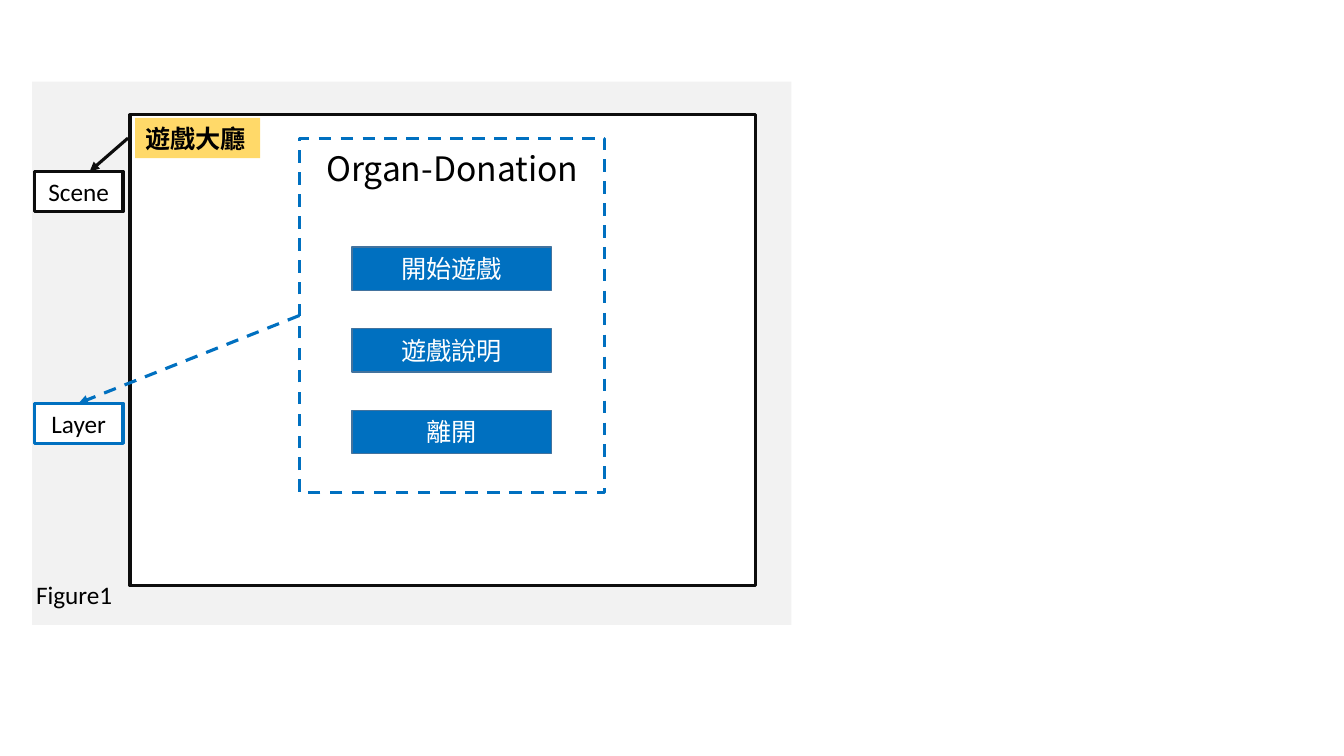
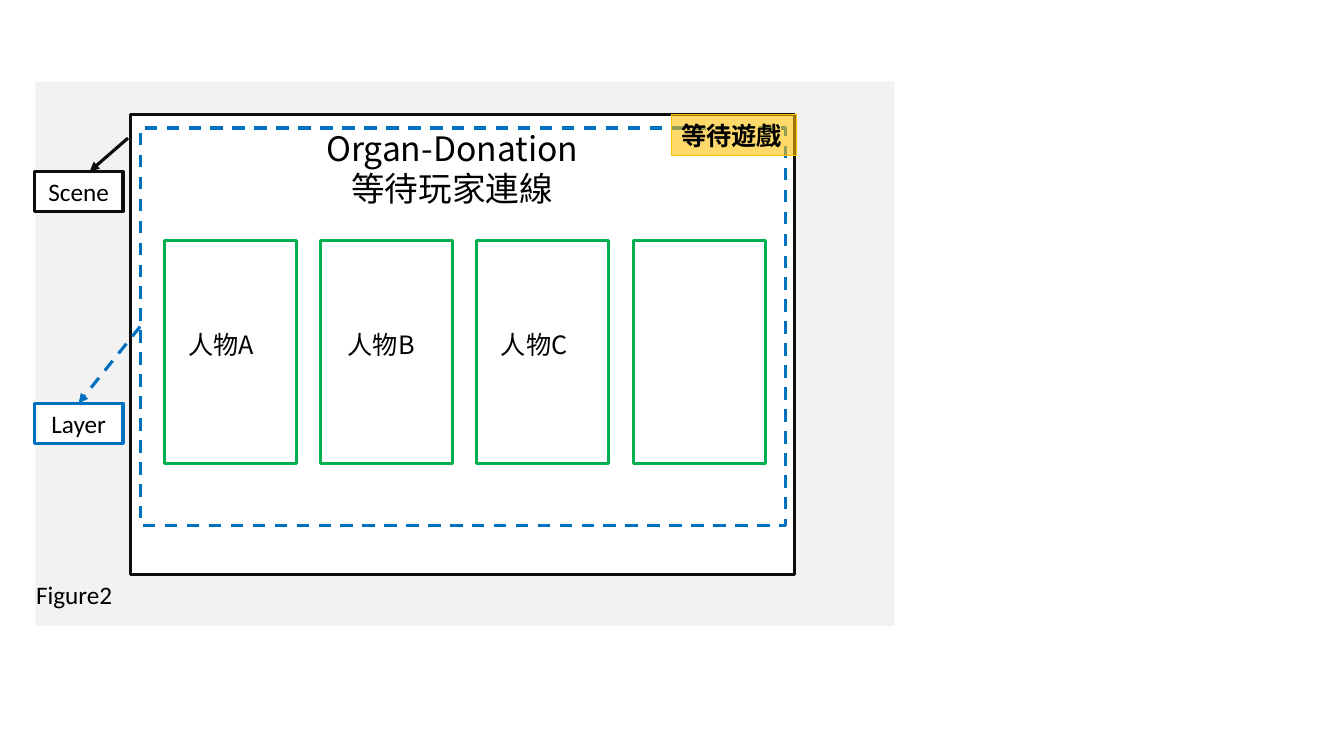
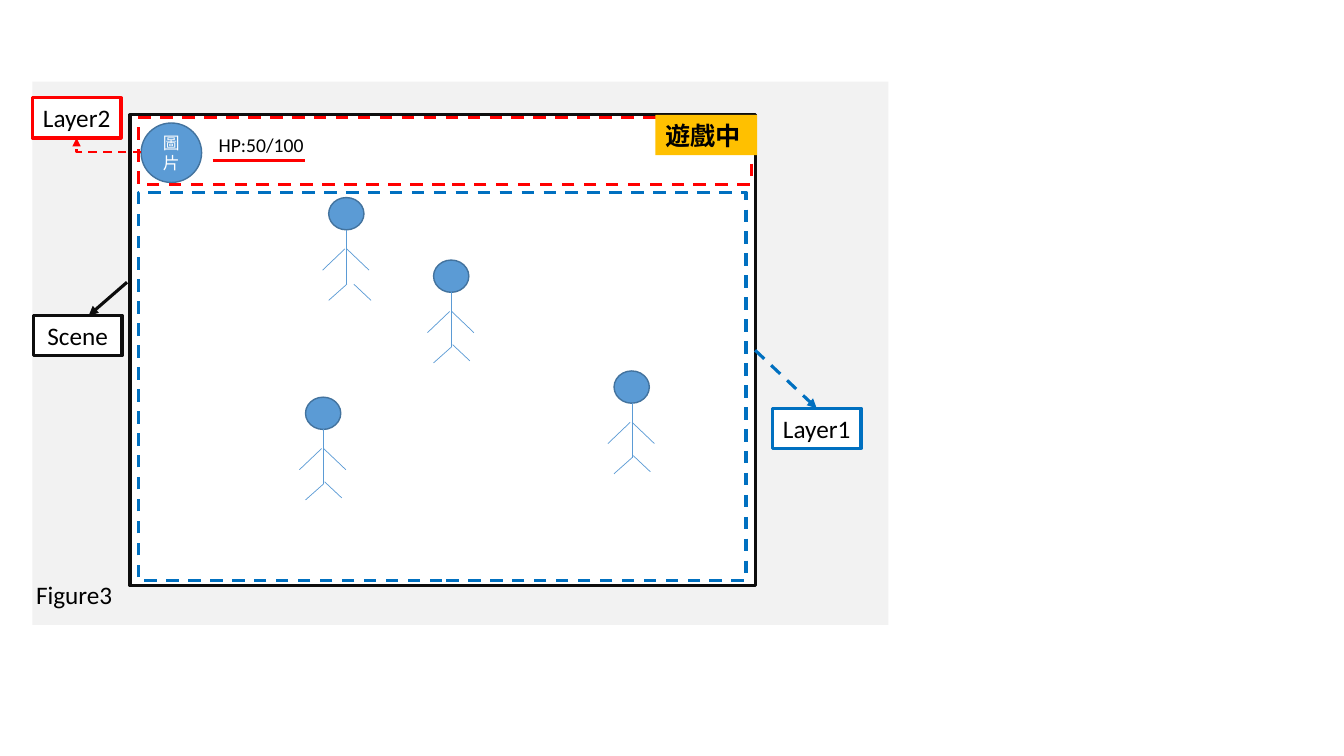
from lxml import etree
from pptx import Presentation
from pptx.dml.color import RGBColor
from pptx.enum import dml, shapes, text
from pptx.oxml.ns import qn
from pptx.util import Inches, Pt

WHITE = RGBColor(0xFF, 0xFF, 0xFF)
BLACK = RGBColor(0x00, 0x00, 0x00)
INK = RGBColor(0x0D, 0x0D, 0x0D)
PANEL_GREY = RGBColor(0xF2, 0xF2, 0xF2)
BLUE = RGBColor(0x00, 0x70, 0xC0)
SKY = RGBColor(0x5B, 0x9B, 0xD5)
EDGE_BLUE = RGBColor(0x43, 0x73, 0x9E)
GREEN = RGBColor(0x00, 0xB0, 0x50)
RED = RGBColor(0xFF, 0x00, 0x00)
AMBER = RGBColor(0xFF, 0xC0, 0x00)

LATIN_FONT = "Calibri"
CJK_FONT = "Noto Sans CJK SC"
TOP, LEFT, BOTTOM, RIGHT = range(4)
LEFT_ALIGN, CENTER = text.PP_ALIGN.LEFT, text.PP_ALIGN.CENTER
UPPER, MIDDLE = text.MSO_ANCHOR.TOP, text.MSO_ANCHOR.MIDDLE
RECTANGLE, OVAL = shapes.MSO_SHAPE.RECTANGLE, shapes.MSO_SHAPE.OVAL


def write(shape, content, size=18, font=CJK_FONT, color=BLACK, bold=False,
          align=CENTER, anchor=MIDDLE, wrap=True):
    """Fill a shape with text, one paragraph per line of content."""
    frame = shape.text_frame
    frame.text = content
    frame.word_wrap = wrap
    frame.vertical_anchor = anchor
    for paragraph in frame.paragraphs:
        paragraph.alignment = align
        for run in paragraph.runs:
            run.font.size = Pt(size)
            run.font.name = font
            run.font.bold = bold
            run.font.color.rgb = color
            properties = run.font._element
            east_asian = etree.SubElement(properties, qn("a:ea"))
            east_asian.set("typeface", font)


class FigureDeck:
    """Holds the presentation, its style and the slide being drawn."""

    def __init__(self):
        self.presentation = Presentation()
        self.presentation.slide_width = Inches(13.33)
        self.presentation.slide_height = Inches(7.5)
        self.slide = None

    def style_line(self, line, color, width, dashed):
        line.color.rgb = color
        line.width = Pt(width)
        if dashed:
            line.dash_style = dml.MSO_LINE.DASH

    def box(self, left, top, width, height, fill=None, line=None, weight=2.25,
            dashed=False, opacity=None, kind=RECTANGLE):
        shape = self.slide.shapes.add_shape(
            kind, Inches(left), Inches(top), Inches(width), Inches(height))
        shape.shadow.inherit = False
        if fill is None:
            shape.fill.background()
        else:
            shape.fill.solid()
            shape.fill.fore_color.rgb = fill
        if opacity is not None:
            color = shape._element.spPr.find(qn("a:solidFill"))[0]
            etree.SubElement(color, qn("a:alpha")).set("val", str(opacity * 1000))
        if line is None:
            shape.line.fill.background()
        else:
            self.style_line(shape.line, line, weight, dashed)
        return shape

    def text_box(self, left, top, width, height, content, **text_format):
        shape = self.slide.shapes.add_textbox(
            Inches(left), Inches(top), Inches(width), Inches(height))
        write(shape, content, **text_format)

    def connector(self, start, end, color, width=2.25, dashed=False, arrow=False,
                  bent=False, begin=None, finish=None):
        """Draw a line; begin and finish are (shape, side) pairs to join."""
        kind = shapes.MSO_CONNECTOR.ELBOW if bent else shapes.MSO_CONNECTOR.STRAIGHT
        connector = self.slide.shapes.add_connector(
            kind, *(Inches(value) for value in (*start, *end)))
        self.style_line(connector.line, color, width, dashed)
        properties = connector._element.spPr
        if bent:
            properties.find(qn("a:prstGeom")).set("prst", "bentConnector2")
        if arrow:
            etree.SubElement(properties.find(qn("a:ln")), qn("a:tailEnd")).set(
                "type", "triangle")
        etree.SubElement(properties, qn("a:effectLst"))
        if begin:
            connector.begin_connect(*begin)
        if finish:
            connector.end_connect(*finish)

    def label(self, left, top, content, color):
        shape = self.box(left, top, 0.88, 0.4, fill=WHITE, line=color)
        write(shape, content, font=LATIN_FONT)
        return shape

    def tag(self, left, top, width, content, **style):
        shape = self.box(left, top, width, 0.4, fill=AMBER, **style)
        write(shape, content, bold=True, align=LEFT_ALIGN, anchor=UPPER)

    def figure(self, number, panel, scene_size, scene_label=(0.34, 1.7)):
        """Start a slide with its grey panel, scene frame, label and caption."""
        self.slide = self.presentation.slides.add_slide(
            self.presentation.slide_layouts[6])
        self.box(*panel, fill=PANEL_GREY)
        scene = self.box(1.29, 1.14, *scene_size, fill=WHITE, line=INK)
        left, top = scene_label
        self.connector((left + 0.93, top - 0.33), (left + 0.55, top), INK, arrow=True)
        self.label(left, top, "Scene", INK)
        self.text_box(0.26, 5.7, 0.97, 0.4, f"Figure{number}", font=LATIN_FONT,
                      align=LEFT_ALIGN, anchor=UPPER, wrap=False)
        return scene

    def heading(self, content):
        self.text_box(2.97, 1.27, 3.03, 0.79, content, size=24)

    def layer(self, left, top, width, height, color=BLUE):
        return self.box(left, top, width, height, line=color, dashed=True)

    def layer_link(self, source, side, left, top, content):
        """Add a layer label with a dashed arrow from the source's side."""
        label = self.label(left, top, content, BLUE)
        self.connector((0, 0), (left, top), BLUE, dashed=True, arrow=True,
                       begin=(source, side), finish=(label, TOP))

    def player(self, left, top, hip=(0.19, 0.84)):
        """Draw a stick figure; hip is where its right leg starts."""
        self.box(left, top, 0.35, 0.32, fill=SKY, line=EDGE_BLUE, weight=1, kind=OVAL)
        foot = (hip[0] + 0.17, hip[1] + 0.16)
        limbs = [
            ((0.18, 0.32), (0.18, 0.86)),
            ((-0.06, 0.72), (0.16, 0.51)),
            ((0.18, 0.86), (0, 1.02)),
            ((0.18, 0.51), (0.4, 0.72)),
            (foot, hip),
        ]
        for start, end in limbs:
            self.connector((left + start[0], top + start[1]),
                           (left + end[0], top + end[1]), SKY, width=0.5)


def draw_lobby(deck):
    deck.figure(1, (0.32, 0.81, 7.53, 5.39), (6.2, 4.67))
    deck.tag(1.34, 1.17, 1.24, "遊戲大廳", opacity=59)
    for row, caption in enumerate(["開始遊戲", "遊戲說明", "離開"]):
        button = deck.box(3.49, 2.45 + 0.81 * row, 1.98, 0.43,
                          fill=BLUE, line=EDGE_BLUE, weight=1)
        write(button, caption, color=WHITE)
    deck.heading("Organ-Donation")
    menu_layer = deck.layer(2.97, 1.37, 3.03, 3.52)
    deck.layer_link(menu_layer, LEFT, 0.34, 4, "Layer")


def draw_waiting_room(deck):
    deck.figure(2, (0.35, 0.81, 8.52, 5.4), (6.59, 4.56))
    deck.heading("Organ-Donation\n等待玩家連線")
    for column in range(4):
        deck.box(1.63 + 1.55 * column, 2.39, 1.31, 2.21, line=GREEN)
    for left, name in [(1.77, "人物A"), (3.35, "人物B"), (4.87, "人物C")]:
        deck.text_box(left, 3.22, 1.01, 0.4, name, align=LEFT_ALIGN, anchor=UPPER)
    room_layer = deck.layer(1.39, 1.27, 6.4, 3.94)
    deck.layer_link(room_layer, LEFT, 0.34, 4, "Layer")
    deck.tag(6.66, 1.14, 1.24, "等待遊戲", opacity=59, line=AMBER, weight=0.75)


def draw_game(deck):
    scene = deck.figure(3, (0.32, 0.81, 8.49, 5.39), (6.2, 4.67), (0.33, 3.13))
    deck.layer_link(scene, RIGHT, 7.66, 4.05, "Layer1")
    deck.player(3.26, 1.96, hip=(0.25, 0.86))
    for left, top in [(6.09, 3.68), (3.03, 3.94), (4.3, 2.58)]:
        deck.player(left, top)
    portrait = deck.box(1.4, 1.22, 0.6, 0.59, fill=SKY, line=EDGE_BLUE,
                        weight=1, kind=OVAL)
    write(portrait, "圖片", size=12, color=WHITE)
    deck.connector((2.11, 1.59), (3.03, 1.59), RED)
    deck.text_box(2.07, 1.27, 1.42, 0.34, "HP:50/100", size=14, font=LATIN_FONT,
                  align=LEFT_ALIGN, anchor=UPPER)
    deck.layer(1.37, 1.91, 6.03, 3.85)
    deck.layer(1.37, 1.17, 6.08, 0.66, color=RED)
    status_label = deck.label(0.32, 0.97, "Layer2", RED)
    deck.connector((1.4, 1.51), (0.76, 1.37), RED, width=1.5, dashed=True,
                   arrow=True, bent=True, finish=(status_label, BOTTOM))
    deck.tag(6.5, 1.14, 1.01, "遊戲中")


def main():
    deck = FigureDeck()
    draw_lobby(deck)
    draw_waiting_room(deck)
    draw_game(deck)
    deck.presentation.save("out.pptx")


if __name__ == "__main__":
    main()
